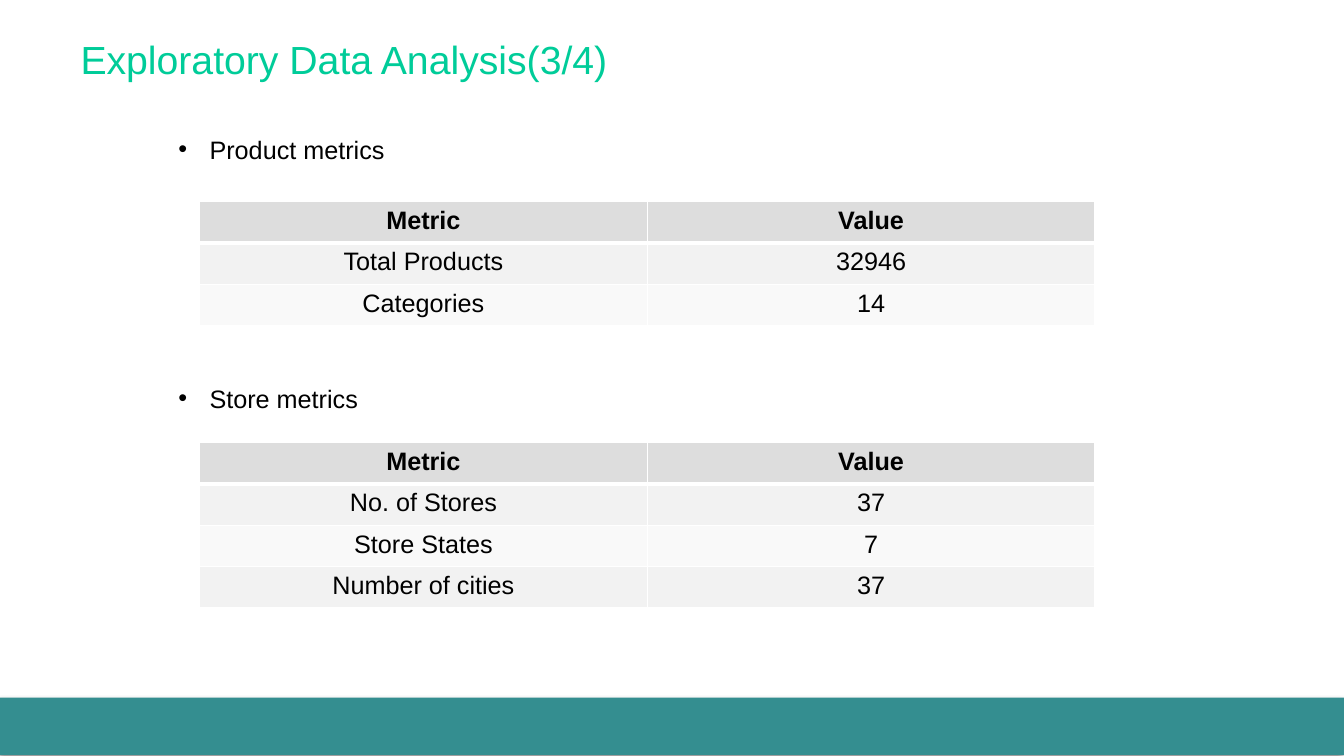
from lxml import etree
from pptx import Presentation
from pptx.dml.color import RGBColor
from pptx.enum import shapes, text
from pptx.oxml import ns
from pptx.util import Inches, Pt

# Content
TITLE = "Exploratory Data Analysis(3/4)"
HEADER = ("Metric", "Value")
SECTIONS = [
    {"label": "Product metrics", "label_top": 1.28, "table_top": 2.0,
     "rows": [("Total Products", "32946"), ("Categories", "14")]},
    {"label": "Store metrics", "label_top": 3.75, "table_top": 4.39,
     "rows": [("No. of Stores", "37"), ("Store States", "7"),
              ("Number of cities", "37")]},
]

# Theme and layout
THEME = {
    "font": "Arial", "title_size": 28, "body_size": 18,
    "title": "00CC99", "body": "000000", "bar": "348E90",
    "header": "DDDDDD", "bands": ("F2F2F2", "F9F9F9"), "border": "FFFFFF",
}
SLIDE_W, SLIDE_H = 13.33, 7.5
LABEL_LEFT, TABLE_LEFT = 1.67, 1.98
COL_W, ROW_H, INDENT = 4.44, 0.41, 0.31
BAR_TOP, BAR_H = 6.92, 0.57


def rgb(value):
    return RGBColor.from_string(value)


def child(parent, tag, **attrs):
    return etree.SubElement(parent, ns.qn(tag), attrs)


def write(p, words, size="body_size", color="body", bold=False):
    r = p.add_run()
    r.text = words
    formats = {"name": THEME["font"], "size": Pt(THEME[size]), "bold": bold}
    for name, value in formats.items():
        setattr(r.font, name, value)
    r.font.color.rgb = rgb(THEME[color])


def add_text(slide, words, left, top, height, bullet=False, **style):
    sp = slide.shapes.add_textbox(Inches(left), Inches(top), Inches(10.39), Inches(height))
    tf = sp.text_frame
    tf.word_wrap = True
    tf.auto_size = text.MSO_AUTO_SIZE.SHAPE_TO_FIT_TEXT
    p = tf.paragraphs[0]
    if bullet:
        pPr = p._p.get_or_add_pPr()
        pPr.set("marL", str(Inches(INDENT)))
        pPr.set("indent", str(-Inches(INDENT)))
        child(pPr, "a:buFont", typeface=THEME["font"])
        child(pPr, "a:buChar", char="•")
    write(p, words, **style)


def format_cell(cell, words, fill, is_header):
    # Borders come before the fill in the cell properties
    tcPr = cell._tc.get_or_add_tcPr()
    for side in "LRTB":
        width = 3 if is_header and side == "B" else 1
        ln = child(tcPr, f"a:ln{side}", w=str(Pt(width)))
        child(child(ln, "a:solidFill"), "a:srgbClr", val=THEME["border"])
    cell.fill.solid()
    cell.fill.fore_color.rgb = rgb(fill)
    p = cell.text_frame.paragraphs[0]
    p.alignment = text.PP_ALIGN.CENTER
    write(p, words, bold=is_header)


def add_metrics(slide, top, rows):
    grid = [HEADER, *rows]
    table = slide.shapes.add_table(
        len(grid), len(HEADER), Inches(TABLE_LEFT), Inches(top),
        Inches(COL_W * len(HEADER)), Inches(ROW_H * len(grid))).table
    for col in table.columns:
        col.width = Inches(COL_W)
    for i, values in enumerate(grid):
        table.rows[i].height = Inches(ROW_H)
        fill = THEME["bands"][(i - 1) % 2] if i else THEME["header"]
        for j, words in enumerate(values):
            format_cell(table.cell(i, j), words, fill, i == 0)


def add_bar(slide):
    bar = slide.shapes.add_shape(
        shapes.MSO_SHAPE.RECTANGLE, 0, Inches(BAR_TOP), Inches(SLIDE_W), Inches(BAR_H))
    bar.fill.solid()
    bar.fill.fore_color.rgb = rgb(THEME["bar"])
    bar.line.fill.background()
    bar.shadow.inherit = False
    effects = bar._element.spPr.find(ns.qn("a:effectLst"))
    shadow = child(effects, "a:outerShdw", blurRad=str(Pt(4)), dist=str(Pt(3)),
                   dir=str(135 * 60000), rotWithShape="0")
    child(child(shadow, "a:srgbClr", val="000000"), "a:alpha", val="40000")


def main():
    prs = Presentation()
    prs.slide_width, prs.slide_height = Inches(SLIDE_W), Inches(SLIDE_H)
    slide = prs.slides.add_slide(prs.slide_layouts[6])

    # Footer bar
    add_bar(slide)

    # Labelled tables
    for section in SECTIONS:
        add_text(slide, section["label"], LABEL_LEFT, section["label_top"], 0.4, bullet=True)
        add_metrics(slide, section["table_top"], section["rows"])

    # Title
    add_text(slide, TITLE, 0.7, 0.3, 0.57, size="title_size", color="title")

    prs.save("out.pptx")


if __name__ == "__main__":
    main()
